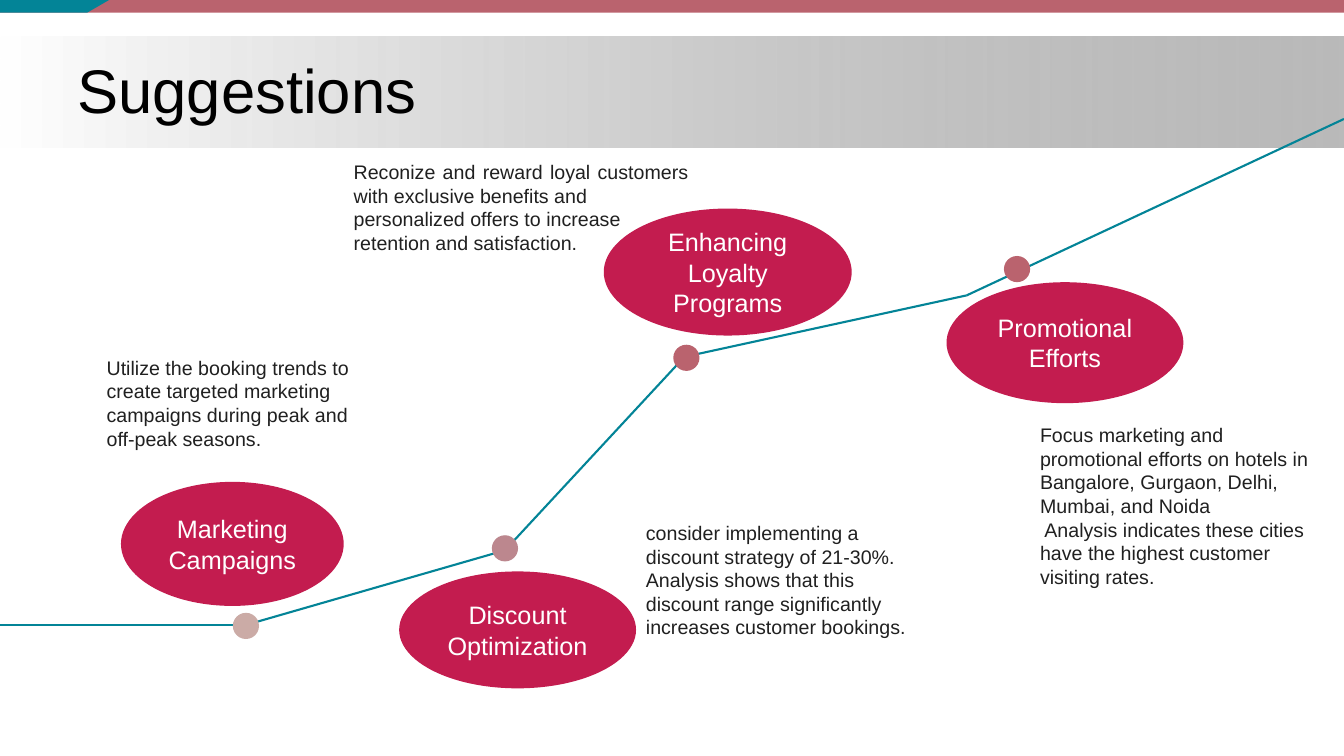
from itertools import pairwise
from lxml.etree import SubElement
from pptx import Presentation
from pptx.dml.color import RGBColor as RGB
from pptx.enum.shapes import MSO_CONNECTOR as LINK, MSO_SHAPE as SHAPE
from pptx.enum.text import MSO_ANCHOR as ANCHOR, PP_ALIGN as ALIGN
from pptx.oxml.ns import qn
from pptx.util import Pt

WIDE, HIGH = 960, 540
HUES = {
    "teal": "038497", "rose": "BA636E", "mauve": "BC878E", "sand": "CBABA6",
    "red": "C31C4F", "white": "FFFFFF", "gray": "808080",
    "ink": "202020", "black": "000000",
}

TREND = [(0, 446.4), (175.7, 446.4), (360.7, 393.1),
         (488.9, 254.9), (690.5, 211), (WIDE, 85)]
DOTS = [(175.7, 447.1, "sand"), (360.7, 391.7, "mauve"),
        (490.3, 255.6, "rose"), (726.5, 192.2, "rose")]

# label, oval box, advice lines, advice box
IDEAS = [
    ("Marketing Campaigns", (86.4, 344.2, 159.1, 88.6),
     ["Utilize the booking trends to", "create targeted marketing",
      "campaigns during peak and", "off-peak seasons."],
     (69.1, 250.6, 197.3, 80.6)),
    ("Discount Optimization", (285.1, 408.2, 169.2, 83.5),
     ["consider implementing a", "discount strategy of 21-30%.",
      "Analysis shows that this", "discount range significantly",
      "increases customer bookings."],
     (454.3, 368.6, 203.8, 78.5)),
    ("Enhancing Loyalty Programs", (431.3, 149, 177.1, 90.7),
     ["Reconize and reward loyal customers with exclusive benefits and",
      "personalized offers to increase", "retention and satisfaction."],
     (245.5, 110.9, 253.4, 109.4)),
    ("Promotional Efforts", (676.1, 201.6, 169.2, 86.4),
     ["Focus marketing and", "promotional efforts on hotels in",
      "Bangalore, Gurgaon, Delhi,", "Mumbai, and Noida",
      " Analysis indicates these cities", "have the highest customer",
      "visiting rates."],
     (735.8, 298.8, 210.2, 157)),
]


def hue(name):
    return RGB.from_string(HUES[name])


def write(shape, lines, size=14, color="ink", align=ALIGN.LEFT,
          anchor=ANCHOR.TOP, space=None):
    frame = shape.text_frame
    frame.word_wrap = True
    frame.vertical_anchor = anchor
    frame.text = "\n".join(lines)
    for para in frame.paragraphs:
        para.alignment = align
        para.line_spacing = space
        for run in para.runs:
            run.font.name = "Arial"
            run.font.size = Pt(size)
            run.font.color.rgb = hue(color)


def draw(slide, kind, box, color):
    shape = slide.shapes.add_shape(kind, *map(Pt, box))
    shape.shadow.inherit = False
    shape.line.fill.background()
    shape.fill.solid()
    shape.fill.fore_color.rgb = hue(color)
    return shape


def head(slide, x, y, w, h):
    """Place the gradient band, the top strip and the title."""
    band = draw(slide, SHAPE.RECTANGLE, (x, y + 25.9, w, 79.2), "gray")
    band.fill.gradient()
    band.fill.gradient_angle = 0
    for stop, name in zip(band.fill.gradient_stops, ("white", "gray")):
        stop.color.rgb = hue(name)
    tint = list(band.element.spPr.iter(qn("a:srgbClr")))[-1]
    SubElement(tint, qn("a:alpha"), val="54000")

    draw(slide, SHAPE.RECTANGLE, (x, y, w, 9), "rose")
    thick, long = 9, 78
    mid = (long - thick) / 2
    tab = draw(slide, SHAPE.FLOWCHART_MANUAL_INPUT,
               (x + mid, y - mid, thick, long), "teal")
    tab.rotation = 270
    tab.element.spPr.find(qn("a:xfrm")).set("flipV", "1")

    title = slide.shapes.title
    title.left, title.top = Pt(x + 48), Pt(y + 21.6)
    title.width, title.height = Pt(w - 96), Pt(h)
    write(title, ["Suggestions"], size=44, color="black",
          anchor=ANCHOR.MIDDLE, space=0.9)
    title.element.getparent().append(title.element)


def trend(slide, x, y):
    """Draw the rising line and its dots."""
    for (ax, ay), (bx, by) in pairwise(TREND):
        line = slide.shapes.add_connector(
            LINK.STRAIGHT, Pt(x + ax), Pt(y + ay), Pt(x + bx), Pt(y + by))
        line.line.color.rgb = hue("teal")
        line.line.width = Pt(1.5)
        SubElement(line.element.spPr, qn("a:effectLst"))
    size = 18.7
    for cx, cy, color in DOTS:
        draw(slide, SHAPE.OVAL,
             (x + cx - size / 2, y + cy - size / 2, size, size), color)


def advice(slide, lines, box):
    note = slide.shapes.add_textbox(*map(Pt, box))
    write(note, lines, align=ALIGN.JUSTIFY)


def bubble(slide, label, box):
    oval = draw(slide, SHAPE.OVAL, box, "red")
    write(oval, [label], size=18, color="white",
          align=ALIGN.CENTER, anchor=ANCHOR.MIDDLE)


def main():
    deck = Presentation()
    deck.slide_width, deck.slide_height = Pt(WIDE), Pt(HIGH)
    slide = deck.slides.add_slide(deck.slide_layouts[5])
    head(slide, 0, 0, WIDE, 90)
    trend(slide, 0, 0)
    for _, _, lines, box in IDEAS:
        advice(slide, lines, box)
    for label, box, _, _ in IDEAS:
        bubble(slide, label, box)
    deck.save("out.pptx")


if __name__ == "__main__":
    main()
